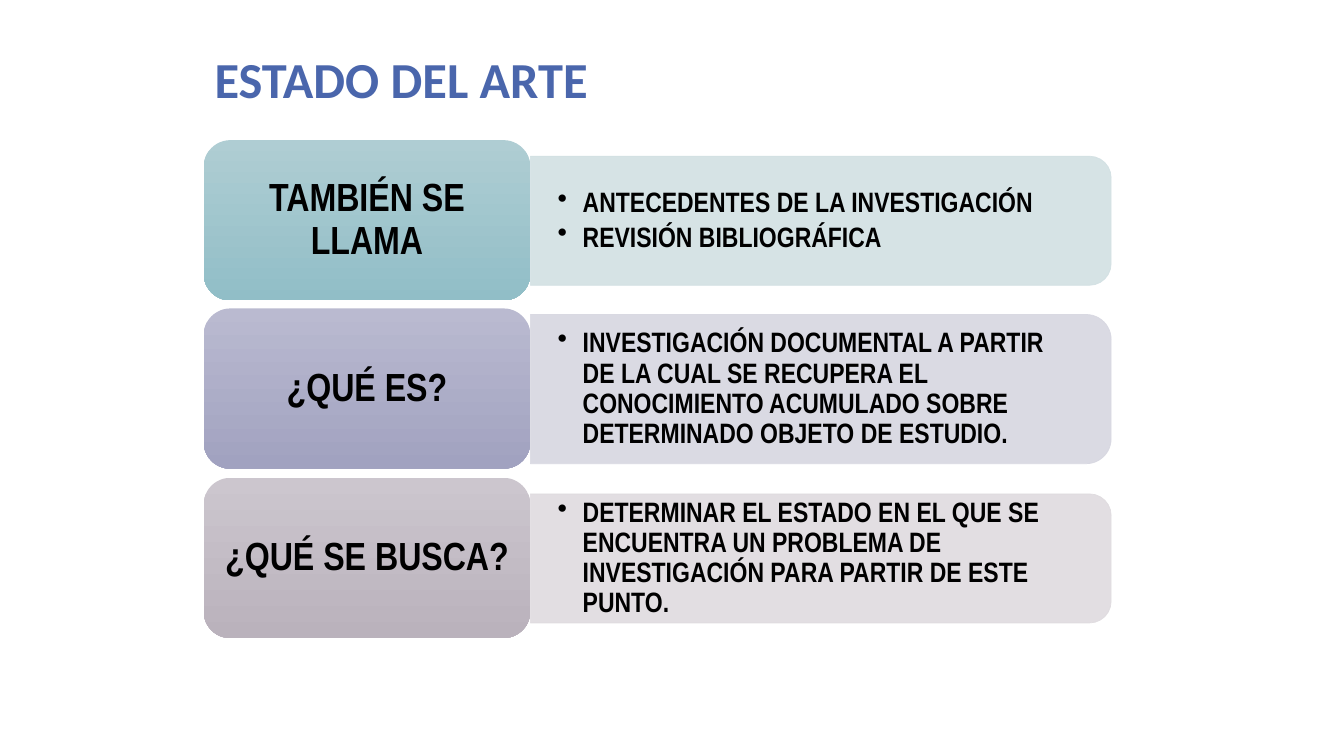
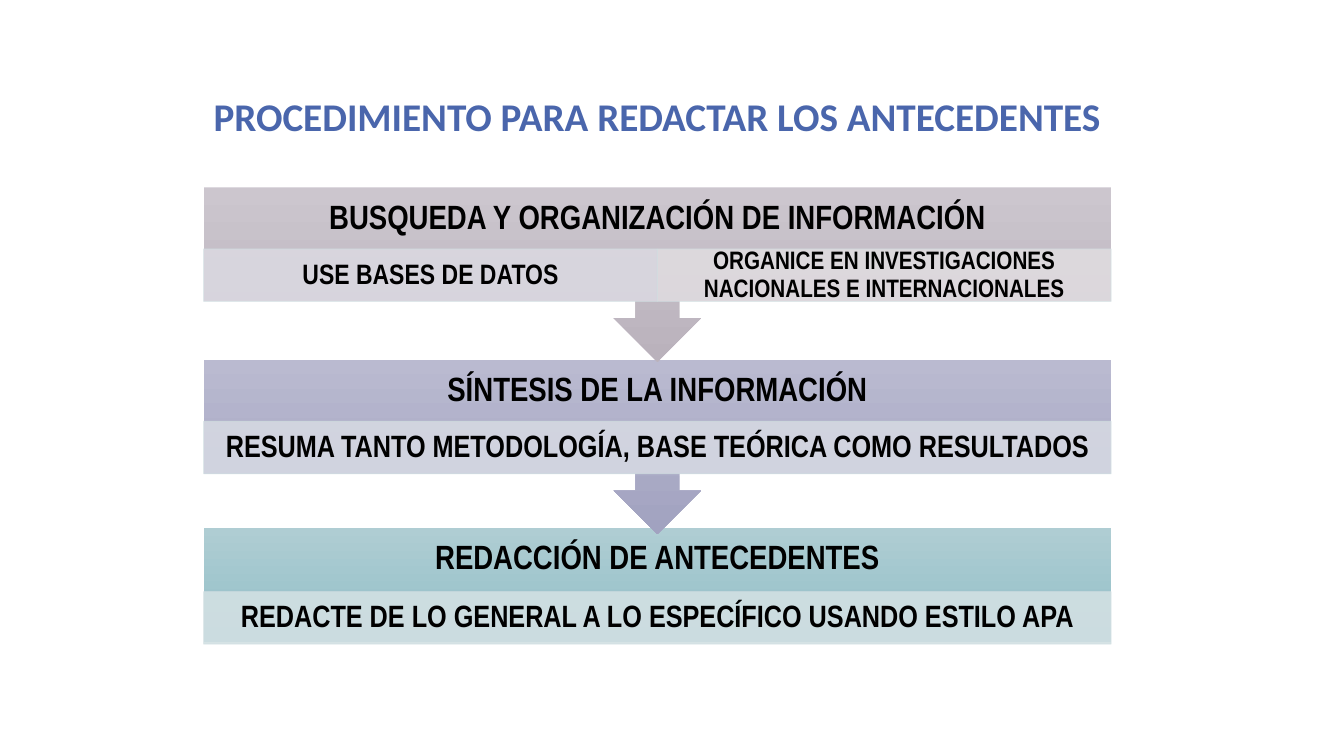
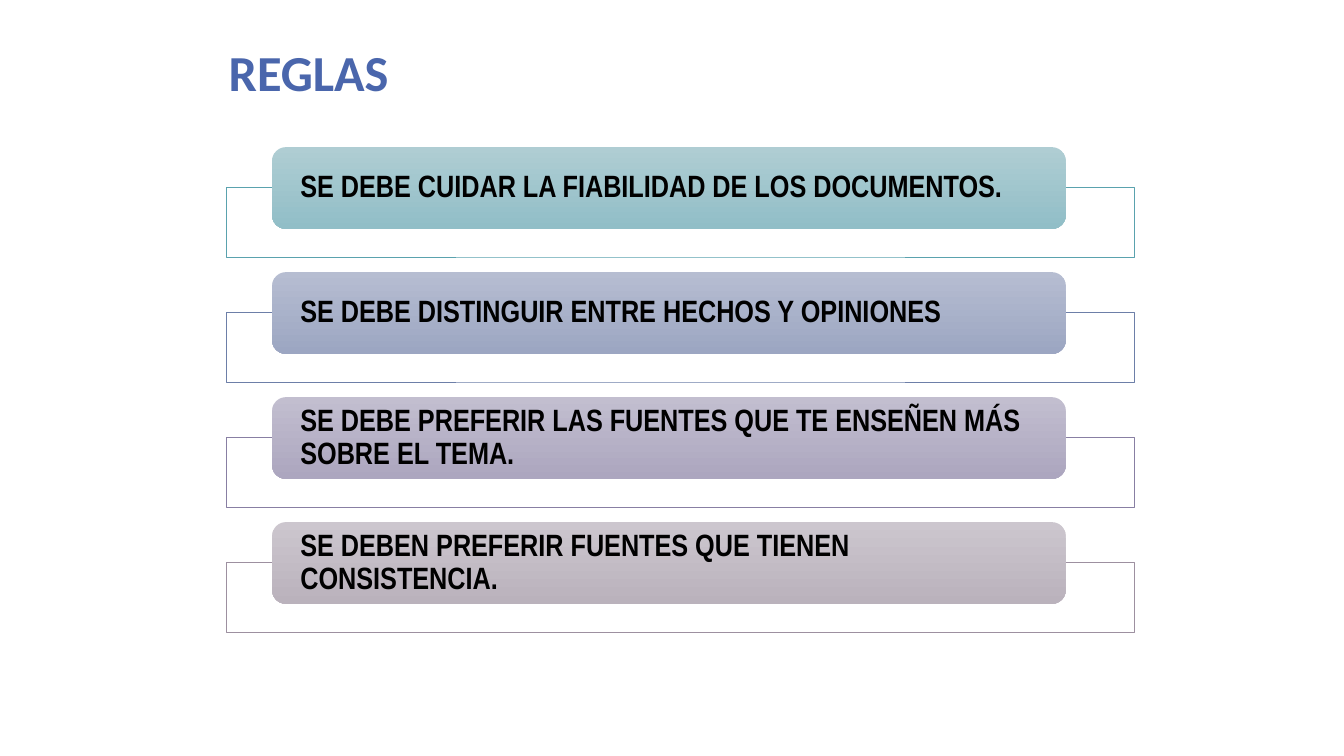
from lxml import etree
from pptx import Presentation
from pptx.dml.color import RGBColor
from pptx.enum.shapes import MSO_SHAPE
from pptx.enum.text import MSO_ANCHOR, PP_ALIGN
from pptx.oxml.ns import qn
from pptx.util import Pt

RECT = MSO_SHAPE.RECTANGLE
ROUND = MSO_SHAPE.ROUNDED_RECTANGLE
TAB = MSO_SHAPE.ROUND_2_SAME_RECTANGLE
CALLOUT = MSO_SHAPE.DOWN_ARROW_CALLOUT
LEFT, CENTER = PP_ALIGN.LEFT, PP_ALIGN.CENTER
MIDDLE, BOTTOM = MSO_ANCHOR.MIDDLE, MSO_ANCHOR.BOTTOM

SCALE = 9144  # 100 px to the inch
BLUE, BLACK, WHITE = "4A66AC", "000000", "FFFFFF"
HEAD, BODY = "Calibri", "Arial Narrow"
TEAL = ("AFCDD3", "91BEC7")
STEEL = ("B6BDD1", "9CA6C2")
VIOLET = ("BABAD0", "A1A2C0")
LILAC = ("C2BECF", "ACA6BF")
MAUVE = ("CCC6CE", "BAB2BC")
PALE_TEAL, PALE_MAUVE = "D2E0E3", "DFDBDF"


def px(n):
    return int(n * SCALE)


def rgb(code):
    return RGBColor.from_string(code)


def fade(fill):
    """Make a solid fill 90 % opaque."""
    color = fill._xPr.find(qn("a:solidFill"))[0]
    etree.SubElement(color, qn("a:alpha"), val="90000")


class Deck:
    def __init__(self):
        self.prs = Presentation()
        self.prs.slide_width, self.prs.slide_height = px(1333), px(750)
        self.slide = None

    def page(self, title, box, size=36):
        self.slide = self.prs.slides.add_slide(self.prs.slide_layouts[6])
        self.label(box, [title], size, LEFT, (10, 5), BOTTOM, HEAD, BLUE, 0.8)

    def put_text(self, shape, lines, size, align=CENTER, pad=(12, 6),
                 anchor=MIDDLE, font=BODY, color=BLACK, lead=0.9,
                 bullet=False):
        frame = shape.text_frame
        frame.word_wrap = True
        frame.vertical_anchor = anchor
        frame.margin_left = frame.margin_right = px(pad[0])
        frame.margin_top = frame.margin_bottom = px(pad[1])
        frame.text = "\n".join(lines)
        for para in frame.paragraphs:
            para.alignment = align
            para.line_spacing = lead
            if bullet:
                para.space_after = Pt(3)
                props = para._p.get_or_add_pPr()
                props.set("marL", str(px(25)))
                props.set("indent", str(px(-25)))
                etree.SubElement(props, qn("a:buChar"), char="•")
            for run in para.runs:
                run.font.name = font
                run.font.size = Pt(size)
                run.font.bold = True
                run.font.color.rgb = rgb(color)

    def label(self, box, lines, *args, **style):
        shape = self.slide.shapes.add_textbox(*map(px, box))
        self.put_text(shape, lines, *args, **style)

    def shape(self, kind, box):
        shape = self.slide.shapes.add_shape(kind, *map(px, box))
        shape.shadow.inherit = False
        return shape

    def blend(self, kind, box, colors):
        """Add a shape shaded from the first colour down to the second."""
        shape = self.shape(kind, box)
        shape.fill.gradient()
        shape.fill.gradient_angle = 270
        for stop, color in zip(shape.fill.gradient_stops, colors):
            stop.color.rgb = rgb(color)
        shape.line.fill.background()
        return shape

    def flat(self, kind, box, fill, line, clear=True):
        shape = self.shape(kind, box)
        shape.fill.solid()
        shape.fill.fore_color.rgb = rgb(fill)
        shape.line.color.rgb = rgb(line)
        shape.line.width = Pt(0.5)
        if clear:
            for part in (shape._element.spPr, shape.line._ln):
                color = part.find(qn("a:solidFill"))[0]
                etree.SubElement(color, qn("a:alpha"), val="90000")
        return shape


def state(deck):
    deck.page("ESTADO DEL ARTE", (203, 35, 900, 77))
    rows = [
        ("TAMBIÉN SE LLAMA", TEAL, PALE_TEAL, 128,
         ["ANTECEDENTES DE LA INVESTIGACIÓN", "REVISIÓN BIBLIOGRÁFICA"]),
        ("¿QUÉ ES?", VIOLET, "D7D7E1", 148,
         ["INVESTIGACIÓN DOCUMENTAL A PARTIR DE LA CUAL SE RECUPERA EL "
          "CONOCIMIENTO ACUMULADO SOBRE DETERMINADO OBJETO DE ESTUDIO."]),
        ("¿QUÉ SE BUSCA?", MAUVE, PALE_MAUVE, 128,
         ["DETERMINAR EL ESTADO EN EL QUE SE ENCUENTRA UN PROBLEMA DE "
          "INVESTIGACIÓN PARA PARTIR DE ESTE PUNTO."]),
    ]
    left, wide, long = 526, 324, 576
    for i, (name, colors, pale, high, lines) in enumerate(rows):
        top = 139 + i * 335 // 2
        mid = top + 80
        # The tab stands upright before its quarter turn about the centre
        box = (left + (long - high) // 2, mid - long // 2, high, long)
        deck.flat(TAB, box, pale, pale).rotation = 90
        deck.label((left, mid - high // 2, long - 6, high), lines, 20, LEFT,
                   (27, 7), bullet=True)
        tile = deck.blend(ROUND, (left - wide, top, wide, 159), colors)
        deck.put_text(tile, [name], 28)


def steps(deck):
    deck.page("PROCEDIMIENTO PARA REDACTAR LOS ANTECEDENTES",
              (202, 36, 976, 107), 28)
    rows = [
        (CALLOUT, 186, 173, 61, MAUVE, "BUSQUEDA Y ORGANIZACIÓN DE INFORMACIÓN",
         [("USE BASES DE DATOS", 20, "DAD8E0"),
          ("ORGANICE EN INVESTIGACIONES NACIONALES E INTERNACIONALES", 18,
           PALE_MAUVE)]),
        (CALLOUT, 357, 173, 61, VIOLET, "SÍNTESIS DE LA INFORMACIÓN",
         [("RESUMA TANTO METODOLOGÍA, BASE TEÓRICA COMO RESULTADOS", 22,
           "D5D8E2")]),
        (RECT, 524, 113, 63, TEAL, "REDACCIÓN DE ANTECEDENTES",
         [("REDACTE DE LO GENERAL A LO ESPECÍFICO USANDO ESTILO APA", 22,
           PALE_TEAL)]),
    ]
    left, wide = 202, 900
    # Last step first, so that each arrow lies over the step below it
    for kind, top, high, drop, colors, name, parts in reversed(rows):
        deck.blend(kind, (left, top, wide, high), colors)
        deck.label((left, top, wide, 61), [name], 24, pad=(19, 3))
        part = wide // len(parts)
        for i, (text, size, pale) in enumerate(parts):
            box = (left + i * part, top + drop, part, 52)
            band = deck.flat(RECT, box, pale, PALE_TEAL)
            deck.put_text(band, [text], size, pad=(16, 3))


def rules(deck):
    deck.page("REGLAS", (217, 36, 900, 69))
    rows = [
        ("SE DEBE CUIDAR LA FIABILIDAD DE LOS DOCUMENTOS.", TEAL, "5AA2AE"),
        ("SE DEBE DISTINGUIR ENTRE HECHOS Y OPINIONES", STEEL, "6D7FA8"),
        ("SE DEBE PREFERIR LAS FUENTES QUE TE ENSEÑEN MÁS SOBRE EL TEMA.",
         LILAC, "887FA3"),
        ("SE DEBEN PREFERIR FUENTES QUE TIENEN CONSISTENCIA.", MAUVE,
         "9D90A0"),
    ]
    for i, (text, colors, edge) in enumerate(rows):
        top = 146 + i * 124
        deck.flat(RECT, (225, top + 40, 900, 69), WHITE, edge, clear=False)
        tile = deck.blend(ROUND, (270, top, 787, 81), colors)
        deck.put_text(tile, [text], 22, LEFT, (24, 0))


def main():
    deck = Deck()
    for build in (state, steps, rules):
        build(deck)
    deck.prs.save("out.pptx")


if __name__ == "__main__":
    main()
